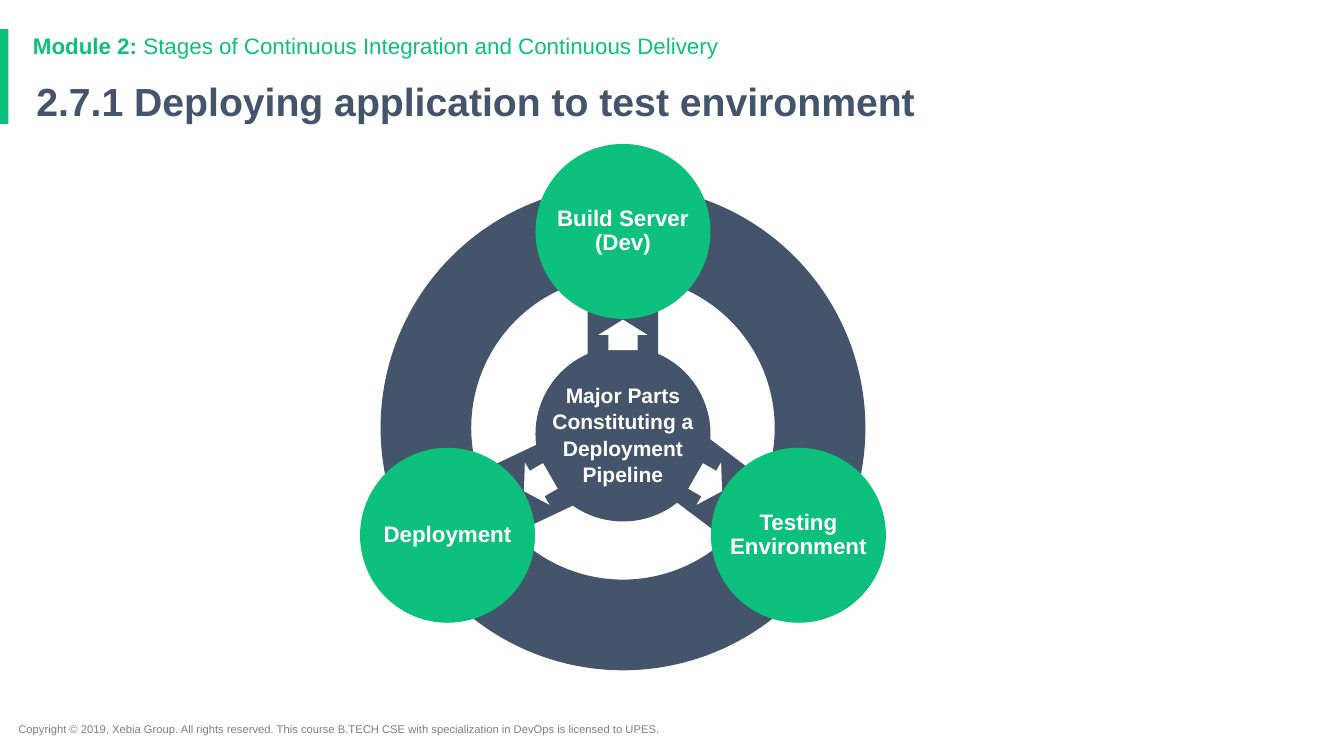
from dataclasses import dataclass
from math import cos, radians, sin

from pptx import Presentation
from pptx.dml.color import RGBColor
from pptx.enum import shapes, text
from pptx.util import Pt

KIND = shapes.MSO_SHAPE
ALIGN = text.PP_ALIGN
ANCHOR = text.MSO_ANCHOR


@dataclass(frozen=True)
class Theme:
    font: str = "Arial"
    green: str = "0EC07D"
    slate: str = "44546A"
    grey: str = "7F7F7F"
    white: str = "FFFFFF"
    title: float = 28
    label: float = 16
    hub: float = 15
    footer: float = 8


def assign(target, formats):
    for name, value in formats.items():
        setattr(target, name, value)


def polar(center, radius, angle):
    """Point at a clockwise angle in degrees from straight up."""
    turn = radians(angle)
    return center[0] + radius * sin(turn), center[1] - radius * cos(turn)


class SlideBuilder:
    def __init__(self, page, theme):
        self.page = page
        self.theme = theme

    def fill_text(self, box, spans, size, color, margins, align=ALIGN.LEFT,
                  anchor=ANCHOR.TOP, spacing=0.9, wrap=True):
        """Fill a box with one paragraph of (wording, bold) spans."""
        frame = box.text_frame
        side, end = margins
        assign(frame, dict(word_wrap=wrap, auto_size=text.MSO_AUTO_SIZE.NONE,
                           vertical_anchor=anchor,
                           margin_left=Pt(side), margin_right=Pt(side),
                           margin_top=Pt(end), margin_bottom=Pt(end)))
        para = frame.paragraphs[0]
        assign(para, dict(alignment=align, line_spacing=spacing))
        for wording, bold in spans:
            # A vertical tab in the wording becomes a line break
            for index, line in enumerate(wording.split("\v")):
                if index:
                    para.add_line_break()
                span = para.add_run()
                span.text = line
                assign(span.font, dict(name=self.theme.font, size=Pt(size), bold=bold))
                span.font.color.rgb = RGBColor.from_string(color)

    def title(self, wording):
        box = self.page.shapes.title
        assign(box, dict(left=Pt(16.5), top=Pt(49.7), width=Pt(828), height=Pt(39)))
        self.fill_text(box, [(wording, True)], self.theme.title, self.theme.slate, (9.4, 9.4))

    def text_line(self, left, top, width, height, spans, size, color, **layout):
        box = self.page.shapes.add_textbox(Pt(left), Pt(top), Pt(width), Pt(height))
        self.fill_text(box, spans, size, color, (7.2, 3.6), **layout)

    def shape(self, kind, center, width, height, color, rotation=0, adjustments=()):
        x, y = center
        item = self.page.shapes.add_shape(
            kind, Pt(x - width / 2), Pt(y - height / 2), Pt(width), Pt(height))
        item.shadow.inherit = False
        item.fill.solid()
        item.fill.fore_color.rgb = RGBColor.from_string(color)
        item.line.fill.background()
        item.rotation = rotation
        for index, value in enumerate(adjustments):
            item.adjustments[index] = value
        return item

    def circle(self, center, wording, size, color, spacing=0.9):
        item = self.shape(KIND.OVAL, center, 125, 125, color)
        self.fill_text(item, [(wording, True)], size, self.theme.white, (0, 0),
                       align=ALIGN.CENTER, anchor=ANCHOR.MIDDLE, spacing=spacing, wrap=False)


def main():
    theme = Theme()
    deck = Presentation()
    assign(deck, dict(slide_width=Pt(960), slide_height=Pt(540)))
    builder = SlideBuilder(deck.slides.add_slide(deck.slide_layouts[5]), theme)

    builder.shape(KIND.RECTANGLE, (3, 54.7), 6, 67.8, theme.green)
    builder.text_line(
        6, 512.5, 513.5, 17.2,
        [("Copyright © 2019, Xebia Group. All rights reserved. This course B.TECH CSE "
          "with specialization in DevOps is licensed to UPES.", False)],
        theme.footer, theme.grey, spacing=1.0)
    builder.text_line(
        16.5, 21.3, 828, 24,
        [("Module 2: ", True),
         ("Stages of Continuous Integration and Continuous Delivery", False)],
        theme.label, theme.green)
    builder.title("2.7.1 Deploying application to test environment")

    hub = (445, 310)
    spokes = [((445, 237.6), 0), ((504.7, 343.4), 127), ((383, 345.6), 244.7)]
    for center, rotation in spokes:
        builder.shape(KIND.RECTANGLE, center, 50.4, 63.4, theme.slate, rotation)
    builder.shape(KIND.DONUT, (445, 305.6), 346.3, 346.3, theme.slate, adjustments=[0.187])
    builder.circle(hub, "Major Parts\vConstituting a\vDeployment\vPipeline",
                   theme.hub, theme.slate, spacing=1.05)

    parts = ["Build Server\v(Dev)", "Testing\vEnvironment", "Deployment"]
    for index, part in enumerate(parts):
        angle = index * 360 / len(parts)
        builder.shape(KIND.UP_ARROW, polar(hub, 70.8, angle), 35, 21.8, theme.white,
                      angle, adjustments=[0.6, 0.5])
        builder.circle(polar(hub, 144.7, angle), part, theme.label, theme.green)

    deck.save("out.pptx")


if __name__ == "__main__":
    main()
